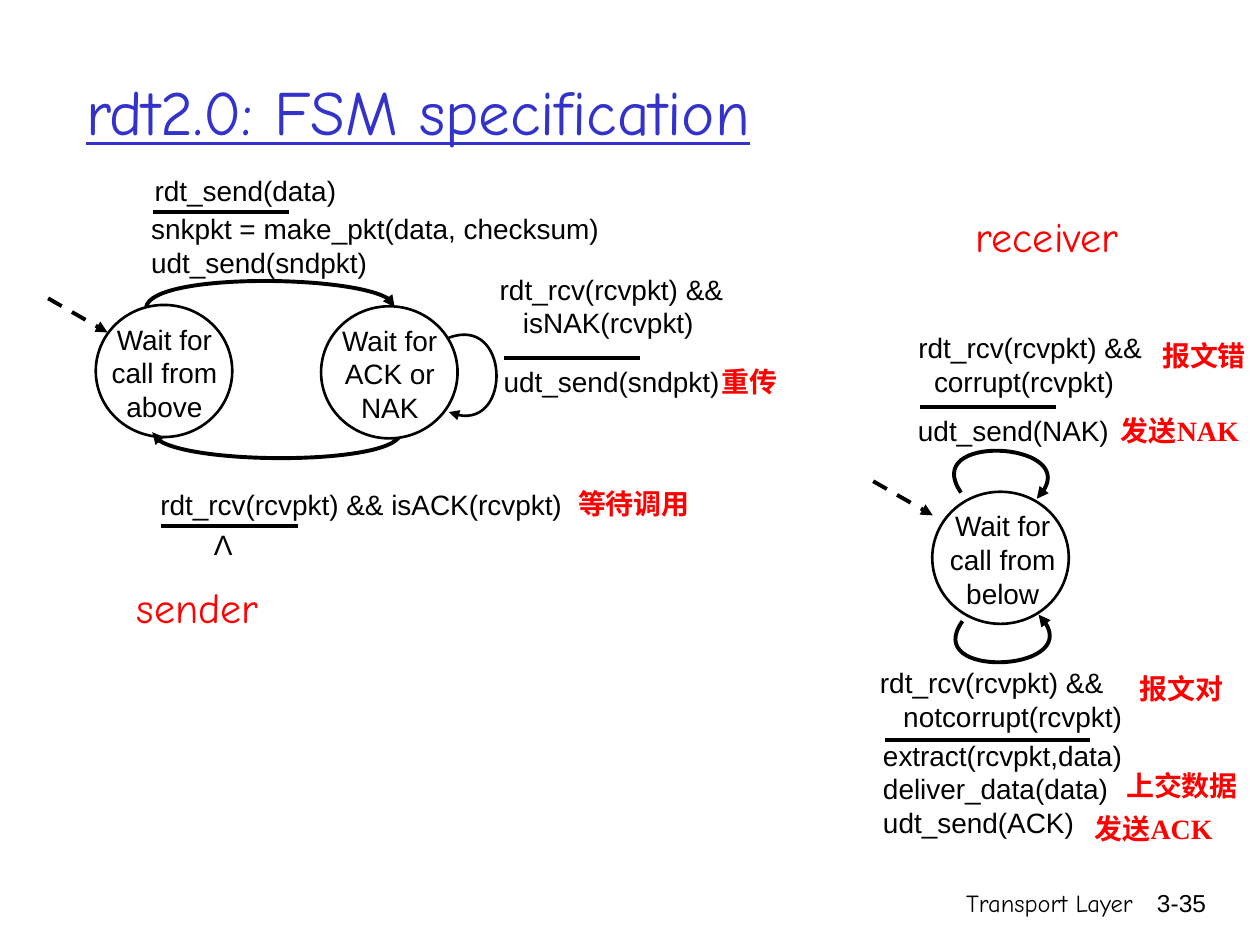
"""Build the slide with the rdt2.0 sender and receiver state machines."""
from lxml import etree
from pptx import Presentation
from pptx.dml.color import RGBColor
from pptx.enum.dml import MSO_LINE
from pptx.enum.shapes import MSO_CONNECTOR, MSO_SHAPE
from pptx.enum.text import MSO_ANCHOR, MSO_AUTO_SIZE, PP_ALIGN
from pptx.oxml.ns import qn
from pptx.util import Pt

STRAIGHT = MSO_CONNECTOR.STRAIGHT
OVAL = MSO_SHAPE.OVAL
DASH = MSO_LINE.DASH
MIDDLE = MSO_ANCHOR.MIDDLE
GROW = MSO_AUTO_SIZE.SHAPE_TO_FIT_TEXT
LEFT, CENTER, RIGHT = PP_ALIGN.LEFT, PP_ALIGN.CENTER, PP_ALIGN.RIGHT

COLORS = {"ink": "000000", "title": "3333CC", "note": "FF0000", "paper": "FFFFFF"}
SANS, COMIC, SERIF = "Arial", "Comic Neue", "Times New Roman"


class Board:
    def __init__(self, deck):
        self.slide = deck.slides.add_slide(deck.slide_layouts[5])
        self.shapes = self.slide.shapes

    def color(self, name):
        return RGBColor.from_string(COLORS[name])

    def style(self, frame, font, size, color, align):
        for para in frame.paragraphs:
            para.alignment = align
            for run in para.runs:
                run.font.name = font
                run.font.size = Pt(size)
                run.font.color.rgb = self.color(color)
                run.font.bold = font == SERIF
                run.font.underline = color == "title"

    def title(self, text, x, y, w, h):
        box = self.shapes.title
        box.left, box.top, box.width, box.height = Pt(x), Pt(y), Pt(w), Pt(h)
        frame = box.text_frame
        frame.text = text
        frame.vertical_anchor = MIDDLE
        self.style(frame, COMIC, 36, "title", LEFT)

    def text(self, text, x, y, w, h, font=SANS, size=16, color="ink",
             align=LEFT, wrap=True, indent=0):
        frame = self.shapes.add_textbox(Pt(x), Pt(y), Pt(w), Pt(h)).text_frame
        frame.word_wrap = wrap
        if not wrap:
            frame.auto_size = GROW
        frame.text = text
        self.style(frame, font, size, color, align)
        if indent:
            props = frame.paragraphs[-1]._p.get_or_add_pPr()
            props.set("marL", str(Pt(indent)))

    def note(self, text, x, y):
        self.text(text, x, y, 83.5, 32, SERIF, color="note")

    def role(self, text, x, y, w):
        self.text(text, x, y, w, 36, COMIC, 24, "note", CENTER, wrap=False)

    def stroke(self, line, width):
        line.color.rgb = self.color("ink")
        line.width = Pt(width)

    def arrow(self, shape, end):
        line = shape.line._get_or_add_ln()
        etree.SubElement(line, qn("a:" + end), type="triangle")

    def line(self, x1, y1, x2, y2):
        link = self.shapes.add_connector(STRAIGHT, Pt(x1), Pt(y1), Pt(x2), Pt(y2))
        self.stroke(link.line, 2.25)
        etree.SubElement(link._element.spPr, qn("a:effectLst"))
        return link

    def rule(self, x, y, w=78):
        self.line(x, y, x + w, y)

    def entry(self, x, y):
        link = self.line(x, y, x + 34, y + 19.5)
        link.line.dash_style = DASH
        self.arrow(link, "tailEnd")

    def curve(self, points, width=2.25, end="tailEnd"):
        start, *rest = [(Pt(x), Pt(y)) for x, y in points]
        build = self.shapes.build_freeform(*start)
        build.add_line_segments(rest, close=False)
        shape = build.convert_to_shape()
        shape.shadow.inherit = False
        shape.fill.background()
        self.stroke(shape.line, width)
        self.arrow(shape, end)
        track = shape._element.find(".//" + qn("a:moveTo")).getparent()
        bend = etree.SubElement(track, qn("a:cubicBezTo"))
        for step in track.findall(qn("a:lnTo")):
            bend.append(step[0])
            track.remove(step)

    def state(self, text, x, y, shift=0):
        disc = self.shapes.add_shape(OVAL, Pt(x), Pt(y), Pt(78), Pt(75.5))
        disc.shadow.inherit = False
        disc.fill.solid()
        disc.fill.fore_color.rgb = self.color("paper")
        self.stroke(disc.line, 1.5)
        self.text(text, x - 7.75 + shift, y + 6.25, 94, 48, align=CENTER)


def sender(board):
    board.entry(27.5, 170.5)
    board.state("Wait for call from above", 54.75, 174.25)
    board.curve([(83.5, 175.5), (86.5, 155.75), (225.5, 157), (225.5, 175.5)])
    board.curve([(87, 247), (90, 266.5), (229, 265.5), (229, 247)], end="headEnd")
    board.curve([(256.5, 193), (291, 180), (293, 250.5), (256.5, 235.5)], 1.5)
    board.state("Wait for ACK or NAK", 183.5, 175)

    board.text("rdt_send(data)", 81.25, 95.75, 178, 34)
    board.rule(87.25, 121)
    board.text("snkpkt = make_pkt(data, checksum)\nudt_send(sndpkt)", 79.25, 117.5, 286.5, 32)
    board.text("rdt_rcv(rcvpkt) &&\nisNAK(rcvpkt)", 278.5, 152, 164, 50, indent=13.3)
    board.rule(288, 204.75)
    board.text("udt_send(sndpkt)", 280.75, 204.75, 139, 32)
    board.text("rdt_rcv(rcvpkt) && isACK(rcvpkt)", 84.5, 275.25, 279, 22)
    board.rule(92.25, 300.5)
    board.text("Λ", 115, 298, 25, 26.5, align=CENTER, wrap=False)

    board.note("重传", 405.25, 205)
    board.note("等待调用", 323.25, 274.5)
    board.role("sender", 65, 328.5, 96)


def receiver(board):
    board.role("receiver", 544, 116.75, 108.5)
    board.entry(499, 275)
    board.curve([(549.25, 281.5), (525.5, 247.5), (624.25, 252.5), (592.5, 285)])
    board.state("Wait for call from below", 532.75, 281, 1)
    board.curve([(550, 355), (526.25, 388), (625.5, 384), (593.5, 351.25)])

    board.text("rdt_rcv(rcvpkt) &&\ncorrupt(rcvpkt)", 517.75, 185.5, 151, 24.5, indent=8.9)
    board.rule(525.5, 232.75)
    board.text("udt_send(NAK)", 517.5, 232.75, 144, 20)
    board.text("rdt_rcv(rcvpkt) &&\nnotcorrupt(rcvpkt)", 495.75, 376.75, 170, 55.5, indent=13.3)
    board.rule(505.5, 422.75, 117.25)
    board.text("extract(rcvpkt,data)\ndeliver_data(data)\nudt_send(ACK)", 497.5, 418.25, 168.5, 49)

    board.note("报文错", 657, 190)
    board.note("发送NAK", 633.5, 232.75)
    board.note("报文对", 644.25, 380.25)
    board.note("上交数据", 636.5, 435.5)
    board.note("发送ACK", 618.5, 460)


def main():
    deck = Presentation()
    deck.slide_width, deck.slide_height = Pt(720), Pt(540)
    board = Board(deck)
    board.title("rdt2.0: FSM specification", 42, 18, 612, 90)
    sender(board)
    receiver(board)
    board.text("Transport Layer", 426.25, 504, 228.25, 36, COMIC, 14, align=RIGHT)
    board.text("3-35", 643, 504, 53.25, 36, size=14, align=RIGHT)
    deck.save("out.pptx")


if __name__ == "__main__":
    main()
